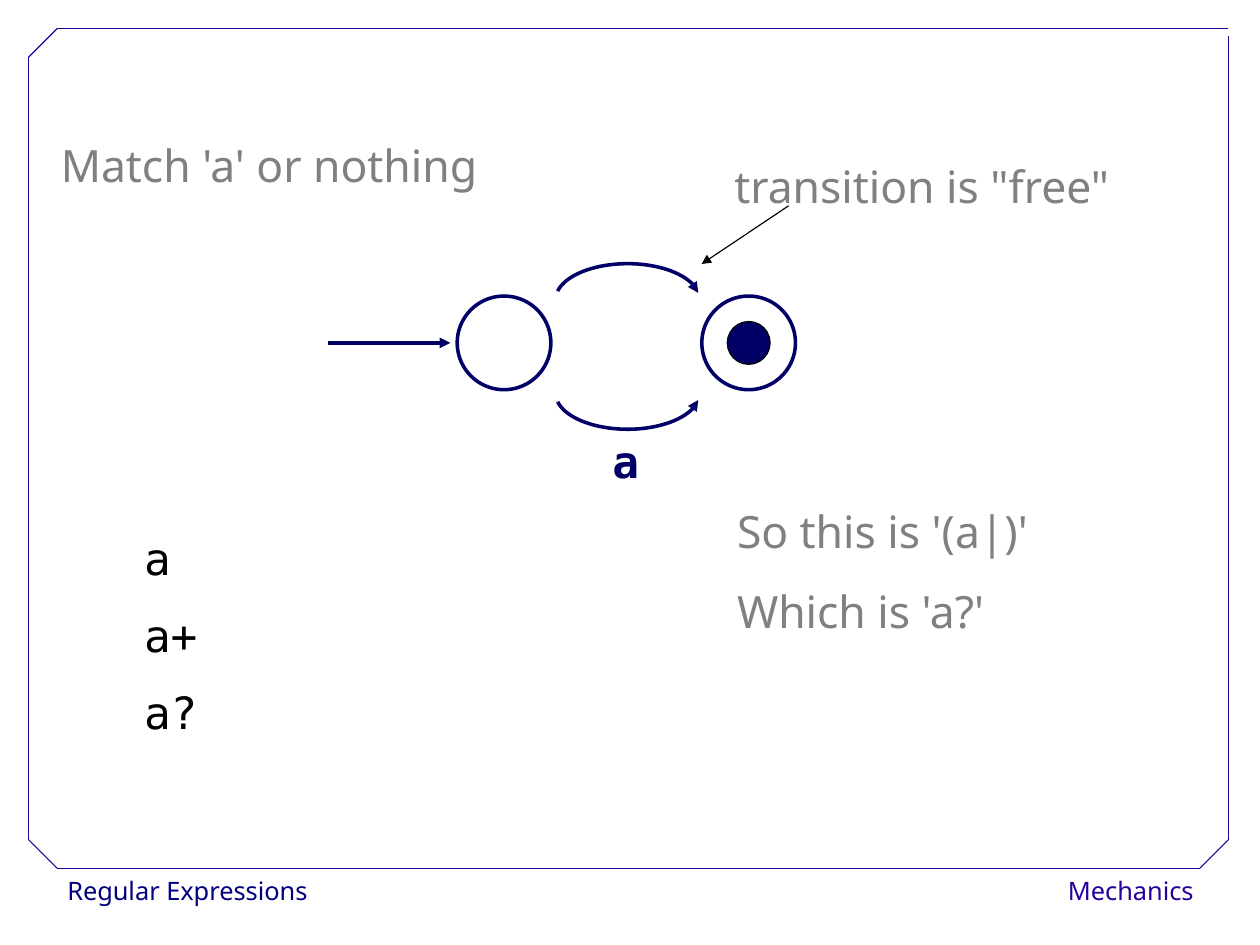
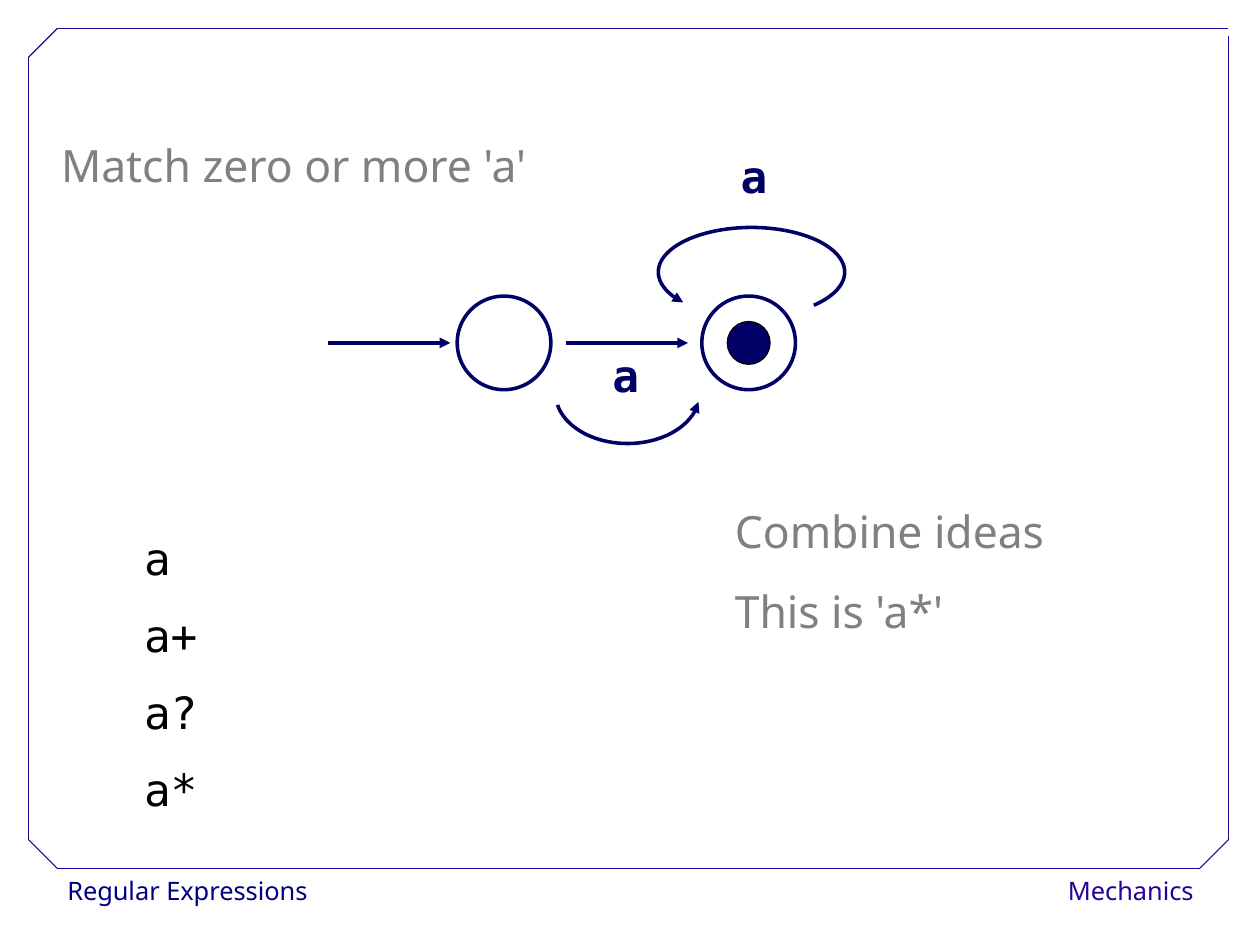
from lxml import etree
from pptx import Presentation
from pptx.dml.color import RGBColor
from pptx.enum import shapes, text
from pptx.oxml.ns import qn
from pptx.util import Pt

NAVY = RGBColor(0x00, 0x00, 0x66)
BLUE = RGBColor(0x00, 0x00, 0x80)
VIOLET = RGBColor(0x28, 0x00, 0x99)
GREY = RGBColor(0x80, 0x80, 0x80)
BLACK = RGBColor(0, 0, 0)

SANS, MONO = "Noto Sans", "DejaVu Sans Mono"
NOTE = dict(name=SANS, size=Pt(28))
CODE = dict(name=MONO, size=Pt(28), bold=False)
LABEL = dict(name=MONO, size=Pt(28), bold=True)
FOOT = dict(name=SANS, size=Pt(16))

WIDE, HIGH = 793.7, 595.28
LEFT, TOP, RIGHT, BASE, CUT = 18, 18, 773.8, 547, 18
FRAME = [
    (LEFT + CUT, BASE, RIGHT - CUT, BASE),
    (LEFT, BASE - CUT, LEFT, TOP + CUT),
    (LEFT + CUT, TOP, RIGHT, TOP),
    (RIGHT, BASE - CUT, RIGHT, TOP + 5),
    (LEFT, TOP + CUT, LEFT + CUT, TOP),
    (RIGHT - CUT, BASE, RIGHT, BASE - CUT),
    (LEFT, BASE - CUT, LEFT + CUT, BASE),
]
AXIS = 216
START, END = 317.5, 471.6
RING, DOT = 59, 27


def pts(*nums):
    return [Pt(n) for n in nums]


class Deck:
    def __init__(self):
        self.prs = Presentation()
        self.prs.slide_width, self.prs.slide_height = pts(WIDE, HIGH)

    def page(self):
        """Add a slide with the shared frame and footers."""
        blank = self.prs.slide_layouts[6]
        self.items = self.prs.slides.add_slide(blank).shapes
        self.text(["Regular Expressions"], (35.3, 547.2, 173, 29), FOOT, BLUE, 1.02)
        self.text(["Mechanics"], (658, 547.2, 101, 29), FOOT, VIOLET, 1.02,
                  text.PP_ALIGN.RIGHT)
        for ends in FRAME:
            self.line(*ends, VIOLET, 0.75)

    def fill(self, para, words, style, color, gap, side=text.PP_ALIGN.LEFT):
        para.text = words
        para.alignment = side
        para.line_spacing = gap
        for key, val in style.items():
            setattr(para.font, key, val)
        para.font.color.rgb = color

    def text(self, lines, box, style, color, gap, side=text.PP_ALIGN.LEFT):
        frame = self.items.add_textbox(*pts(*box)).text_frame
        frame.word_wrap = True
        for i, words in enumerate(lines):
            para = frame.add_paragraph() if i else frame.paragraphs[0]
            self.fill(para, words, style, color, gap, side)

    def note(self, x, y, wide, *lines):
        self.text(lines, (x, y, wide, 4 + 52 * len(lines)), NOTE, GREY, 1.5)

    def label(self, x, y):
        self.text(["a"], (x, y, 31, 39), LABEL, NAVY, 0.93)

    def pen(self, item, color, width, tip=None):
        item.line.color.rgb = color
        item.line.width = Pt(width)
        if tip:
            edge = item.element.spPr.find(qn("a:ln"))
            etree.SubElement(edge, qn("a:" + tip), type="triangle")

    def line(self, x1, y1, x2, y2, color=NAVY, width=2.25, tip=None):
        item = self.items.add_connector(
            shapes.MSO_CONNECTOR.STRAIGHT, *pts(x1, y1, x2, y2))
        self.pen(item, color, width, tip)
        etree.SubElement(item.element.spPr, qn("a:effectLst"))

    def shape(self, kind, box):
        item = self.items.add_shape(kind, *pts(*box))
        item.shadow.inherit = False
        item.fill.background()
        return item

    def disc(self, x, size):
        half = size / 2
        return self.shape(shapes.MSO_SHAPE.OVAL, (x - half, AXIS - half, size, size))

    def arc(self, box, first, last, tip):
        """Draw a clockwise arc between two angles in degrees."""
        item = self.shape(shapes.MSO_SHAPE.ARC, box)
        for i, angle in enumerate((first, last)):
            item.adjustments[i] = angle * 0.6  # 60000ths of a degree / 100000
        self.pen(item, NAVY, 2.25, tip)

    def states(self):
        """Draw the entry arrow, the start state and the accepting state."""
        for x in (END, START):
            self.pen(self.disc(x, RING), NAVY, 2.25)
        self.line(206.6, AXIS, 283.7, AXIS, tip="tailEnd")
        dot = self.disc(END, DOT)
        dot.fill.solid()
        dot.fill.fore_color.rgb = NAVY
        self.pen(dot, BLACK, 0.75)

    def table(self, rows):
        high = 48.5
        grid = self.items.add_table(
            len(rows), 1, *pts(83.5, 334.8, 51, high * len(rows))).table
        grid.first_row = grid.horz_banding = False
        for i, words in enumerate(rows):
            grid.rows[i].height = Pt(high)
            cell = grid.cell(i, 0)
            cell.fill.background()
            para = cell.text_frame.paragraphs[0]
            self.fill(para, words, CODE, BLACK, 0.93)
            para.space_after = Pt(14.2)


def main():
    deck = Deck()
    rows = ["a", "a+", "a?", "a*"]

    deck.page()
    deck.note(31.2, 66.6, 350, "Match 'a' or nothing")
    deck.states()
    deck.label(378.7, 272.9)
    deck.note(455.5, 79.9, 323, 'transition is "free"')
    deck.line(496.8, 129.6, 442, 166.3, BLACK, 0.75, "tailEnd")
    deck.arc((350, 166.1, 90.7, 45.4), 187, 354.5, "tailEnd")
    deck.arc((350, 225, 90.7, 45.4), 5.5, 173, "headEnd")
    deck.note(457.2, 297.4, 269, "So this is '(a|)'", "Which is 'a?'")
    deck.table(rows[:3])

    deck.page()
    deck.note(31.4, 66.6, 382, "Match zero or more 'a'")
    deck.states()
    deck.line(356.4, AXIS, 433.4, AXIS, tip="tailEnd")
    deck.arc((414.7, 143.3, 117.4, 56.2), 156, 28, "headEnd")
    deck.label(378.7, 218.5)
    deck.label(459.4, 93.6)
    deck.arc((350, 216, 90.7, 63.4), 7, 170.5, "headEnd")
    deck.note(455.8, 297.4, 281, "Combine ideas", "This is 'a*'")
    deck.table(rows)

    deck.prs.save("out.pptx")


if __name__ == "__main__":
    main()
